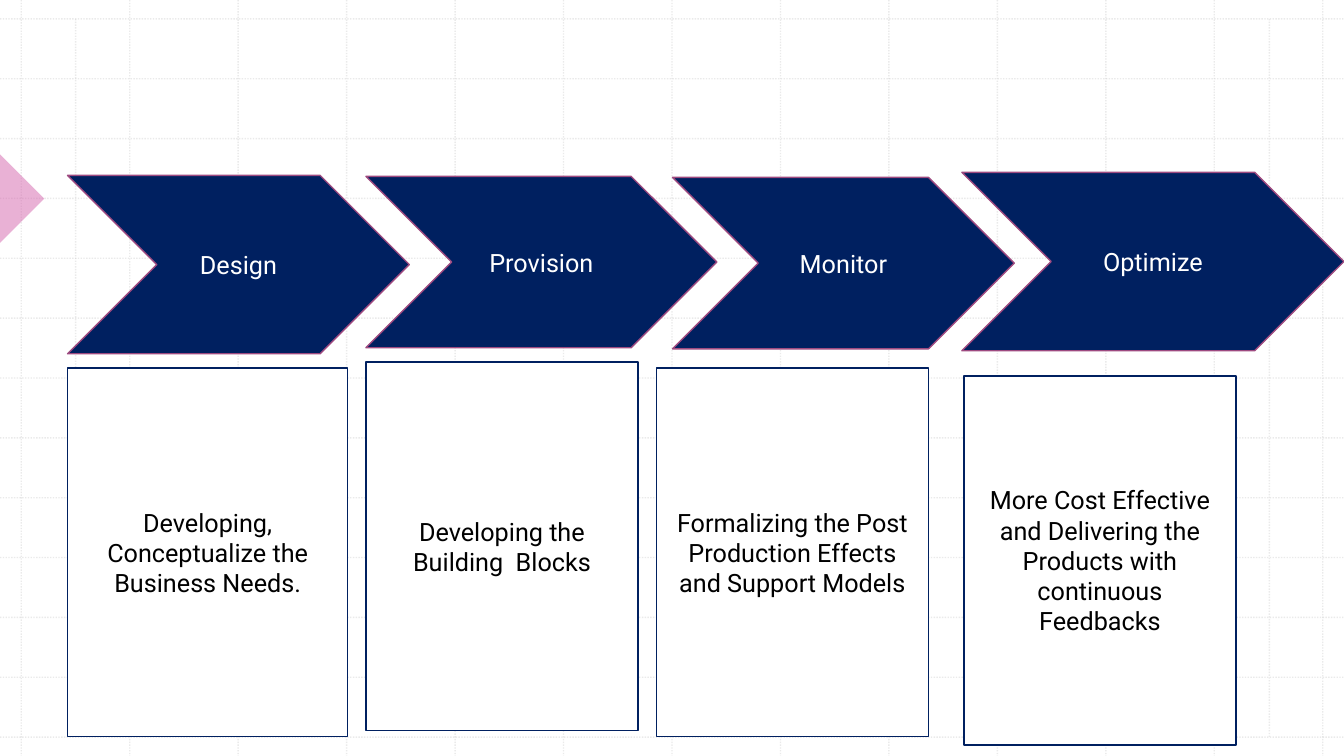
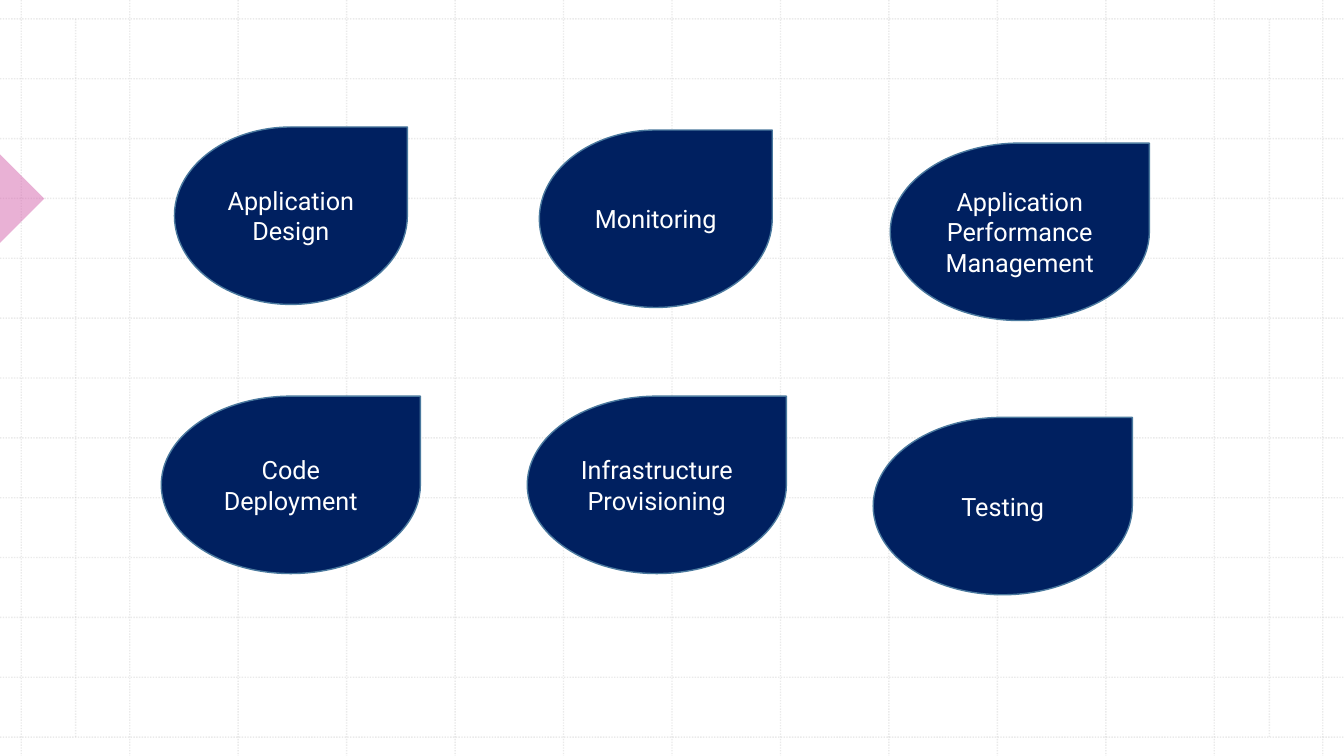
from dataclasses import dataclass

from lxml import etree
from pptx import Presentation
from pptx.dml.color import RGBColor
from pptx.enum.dml import MSO_LINE
from pptx.enum.shapes import MSO_CONNECTOR, MSO_SHAPE
from pptx.enum.text import MSO_ANCHOR, PP_ALIGN
from pptx.oxml.ns import qn
from pptx.util import Inches, Pt

CHEVRON = MSO_SHAPE.CHEVRON
RECT = MSO_SHAPE.RECTANGLE
TEARDROP = MSO_SHAPE.TEAR
TRIANGLE = MSO_SHAPE.RIGHT_TRIANGLE
STRAIGHT = MSO_CONNECTOR.STRAIGHT
DOTTED = MSO_LINE.ROUND_DOT
MIDDLE = MSO_ANCHOR.MIDDLE
CENTER = PP_ALIGN.CENTER

WIDTH, HEIGHT = Inches(13.33), Inches(7.5)
FONT, TEXT_SIZE = "Roboto", Pt(18)
COLORS = {
    "navy": "002060",
    "white": "FFFFFF",
    "black": "000000",
    "plum": "9E4A80",
    "steel": "4A799E",
    "pink": "D564AD",
    "grid": "BCBCBC",
}

# Background grid, in percent of the slide
GRID_COLS, GRID_LEFT, GRID_RIGHT = 13, 1.58, 98.42
GRID_ROWS, GRID_TOP, GRID_BOTTOM = 13, 2.5, 97.5
MARGIN_LINES = (5.63, 94.45)


@dataclass(frozen=True)
class Style:
    shape: int
    fill: str
    line: str
    text: str


@dataclass(frozen=True)
class Item:
    """A labelled shape, placed in percent of the slide."""
    text: str
    left: float
    top: float
    width: float
    height: float


STEP = Style(CHEVRON, "navy", "plum", "white")
CARD = Style(RECT, "white", "navy", "black")
DROP = Style(TEARDROP, "navy", "steel", "white")

CARD_HEIGHT, DROP_HEIGHT = 48.8, 23.47

STEPS = [
    Item("Design", 5.03, 23.2, 25.43, 23.6),
    Item("Provision", 27.23, 23.33, 26.11, 22.67),
    Item("Monitor", 50.04, 23.47, 25.43, 22.67),
    Item("Optimize", 71.57, 22.8, 28.43, 23.6),
]
CARDS = [
    Item("Developing, Conceptualize the Business Needs.",
         5.03, 48.67, 20.85, CARD_HEIGHT),
    Item("Developing the Building  Blocks", 27.23, 47.87, 20.25, CARD_HEIGHT),
    Item("Formalizing the Post Production Effects and Support Models",
         48.84, 48.67, 20.25, CARD_HEIGHT),
    Item("More Cost Effective and Delivering the Products with continuous Feedbacks",
         71.72, 49.73, 20.25, CARD_HEIGHT),
]
DROPS = [
    Item("Application Design", 12.98, 16.8, 17.33, DROP_HEIGHT),
    Item("Monitoring", 40.13, 17.2, 17.33, DROP_HEIGHT),
    Item("Application Performance Management", 66.24, 18.93, 19.28, DROP_HEIGHT),
    Item("Code Deployment", 12, 52.4, 19.28, DROP_HEIGHT),
    Item("Infrastructure Provisioning", 39.23, 52.4, 19.28, DROP_HEIGHT),
    Item("Testing", 64.97, 55.2, 19.28, DROP_HEIGHT),
]


def rgb(name: str) -> RGBColor:
    return RGBColor.from_string(COLORS[name])


def across(share: float) -> int:
    return round(WIDTH * share / 100)


def down(share: float) -> int:
    return round(HEIGHT * share / 100)


def spread(first: float, last: float, count: int) -> list[float]:
    return [first + (last - first) * i / (count - 1) for i in range(count)]


def set_opacity(sp, percent: int) -> None:
    """Make the first solid colour of a shape or line see-through."""
    color = next(sp._element.spPr.iter(qn("a:srgbClr")))
    etree.SubElement(color, qn("a:alpha"), val=str(percent * 1000))


def add_grid_line(slide, x1: float, y1: float, x2: float, y2: float) -> None:
    line = slide.shapes.add_connector(
        STRAIGHT, across(x1), down(y1), across(x2), down(y2))
    line.line.color.rgb = rgb("grid")
    line.line.width = Pt(1)
    line.line.dash_style = DOTTED
    set_opacity(line, 30)
    etree.SubElement(line._element.spPr, qn("a:effectLst"))


def add_background(slide) -> None:
    # Dotted grid
    for x in spread(GRID_LEFT, GRID_RIGHT, GRID_COLS):
        add_grid_line(slide, x, 0, x, 100)
    for y in spread(GRID_TOP, GRID_BOTTOM, GRID_ROWS):
        add_grid_line(slide, 0, y, 100, y)
    for x in MARGIN_LINES:
        add_grid_line(slide, x, GRID_TOP, x, GRID_BOTTOM)

    # Pink pointer: a right triangle turned to rest on the left edge
    side = down(8.27)
    sp = slide.shapes.add_shape(
        TRIANGLE, -side // 2, down(26.27) - side // 2, side, side)
    sp.rotation = 225
    sp.shadow.inherit = False
    sp.fill.solid()
    sp.fill.fore_color.rgb = rgb("pink")
    sp.line.fill.background()
    set_opacity(sp, 50)


def add_item(slide, item: Item, style: Style) -> None:
    sp = slide.shapes.add_shape(
        style.shape, across(item.left), down(item.top),
        across(item.width), down(item.height))
    sp.shadow.inherit = False
    sp.fill.solid()
    sp.fill.fore_color.rgb = rgb(style.fill)
    sp.line.color.rgb = rgb(style.line)
    sp.line.width = Pt(1)
    tf = sp.text_frame
    tf.word_wrap = True
    tf.vertical_anchor = MIDDLE
    tf.text = item.text
    p = tf.paragraphs[0]
    p.alignment = CENTER
    font = p.runs[0].font
    font.name, font.size = FONT, TEXT_SIZE
    font.color.rgb = rgb(style.text)


def add_slide(prs, groups: list[tuple[Style, list[Item]]]) -> None:
    slide = prs.slides.add_slide(prs.slide_layouts.get_by_name("Blank"))
    add_background(slide)
    for style, items in groups:
        for item in items:
            add_item(slide, item, style)


def main() -> None:
    prs = Presentation()
    prs.slide_width, prs.slide_height = WIDTH, HEIGHT
    add_slide(prs, [(STEP, STEPS), (CARD, CARDS)])
    add_slide(prs, [(DROP, DROPS)])
    prs.save("out.pptx")


if __name__ == "__main__":
    main()
